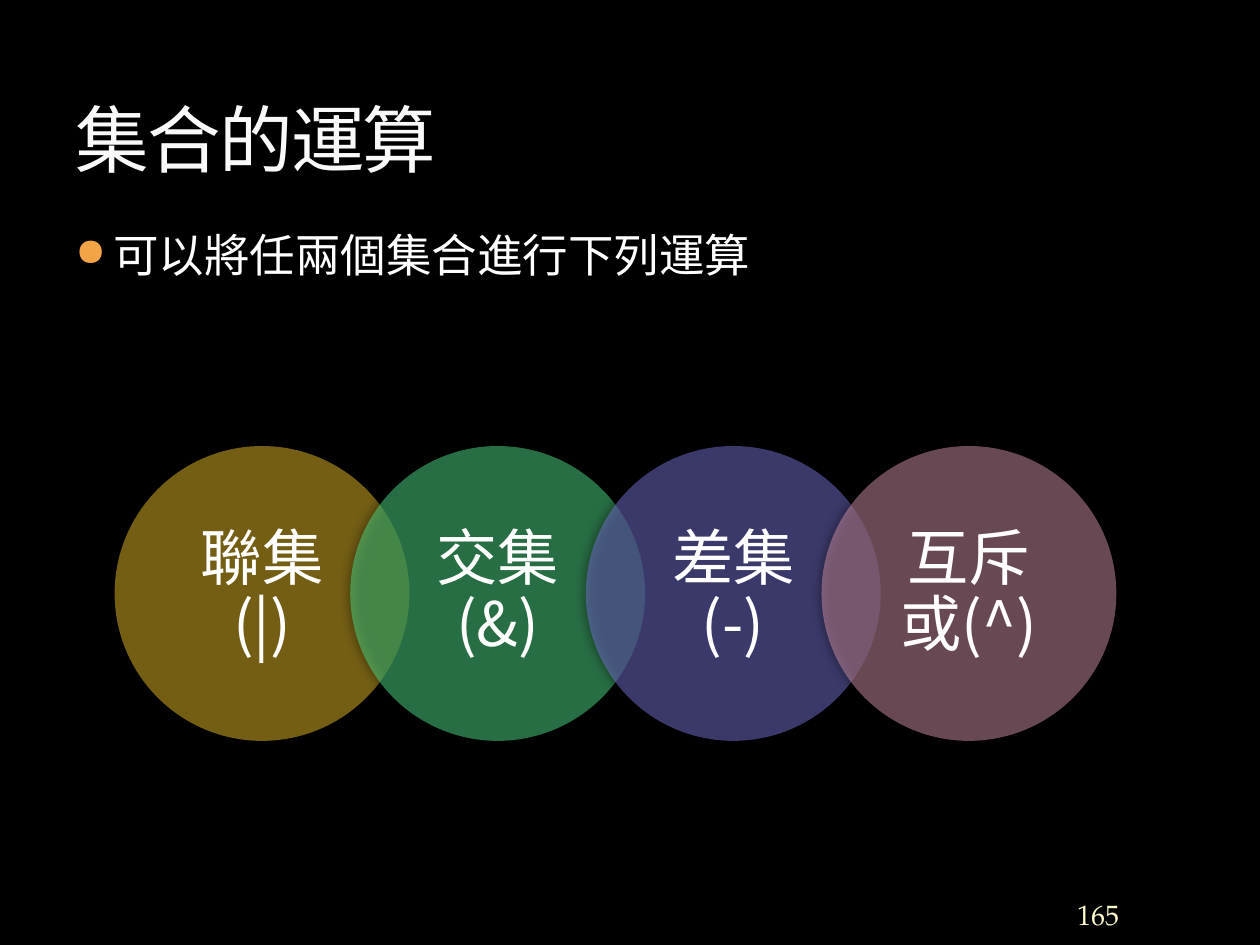
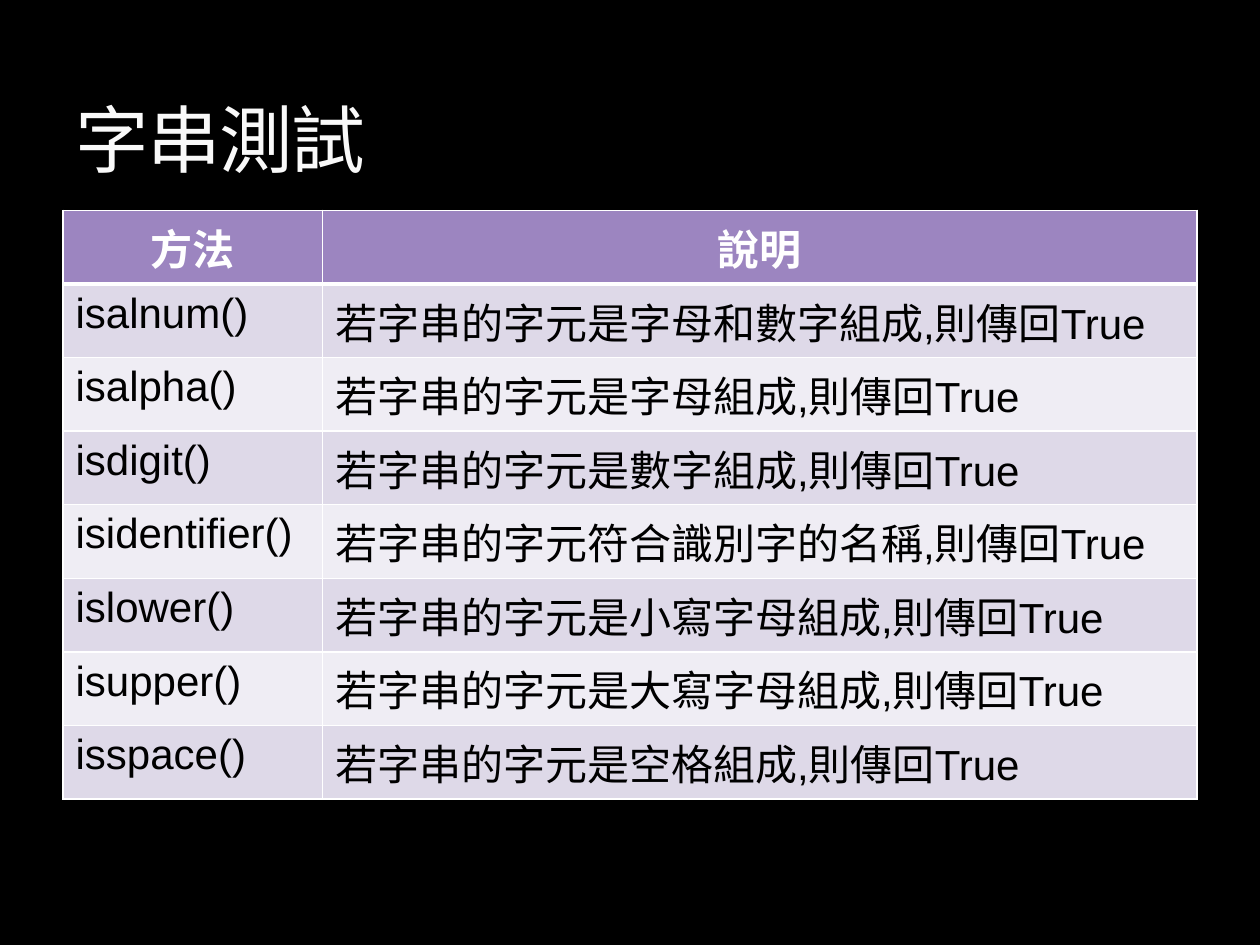
from lxml import etree
from pptx import Presentation
from pptx.dml.color import RGBColor
from pptx.enum.shapes import MSO_SHAPE
from pptx.enum.text import MSO_ANCHOR, MSO_AUTO_SIZE, PP_ALIGN
from pptx.oxml import parse_xml
from pptx.oxml.ns import nsdecls, qn
from pptx.util import Inches, Pt

OVAL = MSO_SHAPE.OVAL
TOP, MIDDLE, BOTTOM = MSO_ANCHOR.TOP, MSO_ANCHOR.MIDDLE, MSO_ANCHOR.BOTTOM
LEFT, CENTER = PP_ALIGN.LEFT, PP_ALIGN.CENTER
NO_FIT = MSO_AUTO_SIZE.NONE

BLACK = RGBColor(0x00, 0x00, 0x00)
WHITE = RGBColor(0xFF, 0xFF, 0xFF)
TITLE = RGBColor(0xF9, 0xF9, 0xF9)
EDGE = RGBColor(0x3C, 0x44, 0x22)
CREAM = RGBColor(0xFE, 0xFA, 0xC9)
ORANGE = RGBColor(0xF3, 0xA4, 0x47)
GOLD = RGBColor(0xE7, 0xBC, 0x29)
GREEN = RGBColor(0x50, 0xDC, 0x88)
BLUE = RGBColor(0x76, 0x73, 0xD4)
ROSE = RGBColor(0xD0, 0x92, 0xA7)
PURPLE = RGBColor(0x9C, 0x85, 0xC0)
LILAC = RGBColor(0xDE, 0xD9, 0xE8)
PALE = RGBColor(0xEF, 0xED, 0xF4)

SERIF, SANS, CJK = "TeX Gyre Pagella", "Arial", "Noto Sans CJK SC"


def paint(color, alpha=100):
    """XML of a solid fill, alpha in percent."""
    return (f'<a:solidFill {nsdecls("a")}><a:srgbClr val="{color}">'
            f'<a:alpha val="{alpha * 1000}"/></a:srgbClr></a:solidFill>')


class Deck:
    def __init__(self):
        self.prs = Presentation()
        self.prs.slide_width, self.prs.slide_height = Inches(10), Inches(7.5)
        back = self.prs.slide_master.background.fill
        back.solid()
        back.fore_color.rgb = BLACK
        self.slide = None

    def run(self, para, text, size, font, color, bold=False):
        run = para.add_run()
        run.text = text
        run.font.size, run.font.name, run.font.bold = Pt(size), font, bold
        run.font.color.rgb = color
        etree.SubElement(run._r.rPr, qn("a:ea"), typeface=CJK)
        return run

    def page(self, title):
        self.slide = self.prs.slides.add_slide(self.prs.slide_layouts[5])
        head = self.slide.shapes.title
        head.left, head.top = Inches(0.5), Inches(0.17)
        head.width, head.height = Inches(9), Inches(1.33)
        frame = head.text_frame
        frame.auto_size, frame.vertical_anchor = NO_FIT, BOTTOM
        para = frame.paragraphs[0]
        para.alignment = LEFT
        props = self.run(para, title, 42, SERIF, TITLE)._r.rPr
        props.set("spc", "-100")
        line = parse_xml(f'<a:ln {nsdecls("a")} w="{Pt(0.25)}">'
                         f'{paint(EDGE, 25)}</a:ln>')
        props.insert(0, line)

    def box(self, x, y, w, h, anchor=TOP, align=LEFT, pad=(0.1, 0.05)):
        """Add a text box and return its first paragraph."""
        shape = self.slide.shapes.add_textbox(
            Inches(x), Inches(y), Inches(w), Inches(h))
        frame = shape.text_frame
        frame.word_wrap, frame.vertical_anchor = True, anchor
        frame.margin_left = frame.margin_right = Inches(pad[0])
        frame.margin_top = frame.margin_bottom = Inches(pad[1])
        frame.paragraphs[0].alignment = align
        return frame.paragraphs[0]

    def bullet(self, text):
        para = self.box(0.5, 1.75, 9.3, 4.95)
        props = para._p.get_or_add_pPr()
        props.set("marL", str(Inches(0.3)))
        props.set("indent", str(Inches(-0.3)))
        color = etree.SubElement(props, qn("a:buClr"))
        etree.SubElement(color, qn("a:srgbClr"), val=str(ORANGE))
        etree.SubElement(props, qn("a:buSzPct"), val="85000")
        etree.SubElement(props, qn("a:buChar"), char="●")
        self.run(para, text, 26, SERIF, WHITE)

    def number(self, text):
        para = self.box(7.55, 7.06, 2.33, 0.4, MIDDLE, CENTER, (0, 0))
        self.run(para, text, 16, SERIF, CREAM)

    def disc(self, x, y, size, color, text):
        """Half-clear circle with a soft shadow and a centred label."""
        oval = self.slide.shapes.add_shape(
            OVAL, Inches(x), Inches(y), Inches(size), Inches(size))
        oval.line.fill.background()
        oval.fill.solid()
        oval.fill.fore_color.rgb = color
        tint = oval._element.spPr.find(qn("a:solidFill"))[0]
        etree.SubElement(tint, qn("a:alpha"), val="50000")
        oval.shadow.inherit = False
        glow = etree.SubElement(
            oval._element.spPr.find(qn("a:effectLst")), qn("a:outerShdw"),
            blurRad=str(Pt(7.5)), dist="0", dir="0", rotWithShape="0")
        shade = etree.SubElement(glow, qn("a:srgbClr"), val=str(BLACK))
        etree.SubElement(shade, qn("a:alpha"), val="50000")

        inset = 0.345
        side = size - 2 * inset
        para = self.box(x + inset, y + inset, side, side,
                        MIDDLE, CENTER, (0.13, 0.05))
        para.line_spacing = 0.9
        self.run(para, text, 35, CJK, WHITE)

    def border(self, cell, row):
        """White grid with a thick rule below the header."""
        widths = {"L": 1, "R": 1, "T": 3 if row == 1 else 1,
                  "B": 3 if row == 0 else 1}
        props = cell._tc.get_or_add_tcPr()
        for spot, (side, width) in enumerate(widths.items()):
            line = parse_xml(f'<a:ln{side} {nsdecls("a")} w="{Pt(width)}">'
                             f'{paint(WHITE)}</a:ln{side}>')
            props.insert(spot, line)

    def table(self, rows, widths):
        grid = self.slide.shapes.add_table(
            len(rows), len(widths), Inches(0.5), Inches(1.67),
            Inches(sum(widths)), Inches(4)).table
        for col, width in zip(grid.columns, widths):
            col.width = Inches(width)
        for r, texts in enumerate(rows):
            grid.rows[r].height = Inches(0.41)
            head = r == 0
            fill = PURPLE if head else (PALE, LILAC)[r % 2]
            for c, text in enumerate(texts):
                cell = grid.cell(r, c)
                cell.fill.solid()
                cell.fill.fore_color.rgb = fill
                self.border(cell, r)
                para = cell.text_frame.paragraphs[0]
                para.alignment = CENTER if head else LEFT
                self.run(para, text, 24, SANS, WHITE if head else BLACK, head)


def main():
    deck = Deck()

    # Set operations
    deck.page("集合的運算")
    deck.bullet("可以將任兩個集合進行下列運算")
    deck.number("165")
    discs = [("聯集(|)", GOLD), ("交集(&)", GREEN),
             ("差集(-)", BLUE), ("互斥或(^)", ROSE)]
    for i, (text, color) in enumerate(discs):
        deck.disc(0.91 + 1.87 * i, 3.54, 2.34, color, text)

    # String tests
    deck.page("字串測試")
    tests = [("isalnum", "是字母和數字組成"), ("isalpha", "是字母組成"),
             ("isdigit", "是數字組成"), ("isidentifier", "符合識別字的名稱"),
             ("islower", "是小寫字母組成"), ("isupper", "是大寫字母組成"),
             ("isspace", "是空格組成")]
    rows = [("方法", "說明")]
    rows += [(f"{name}()", f"若字串的字元{rule},則傳回True")
             for name, rule in tests]
    deck.table(rows, (2.06, 6.94))

    deck.prs.save("out.pptx")


if __name__ == "__main__":
    main()
